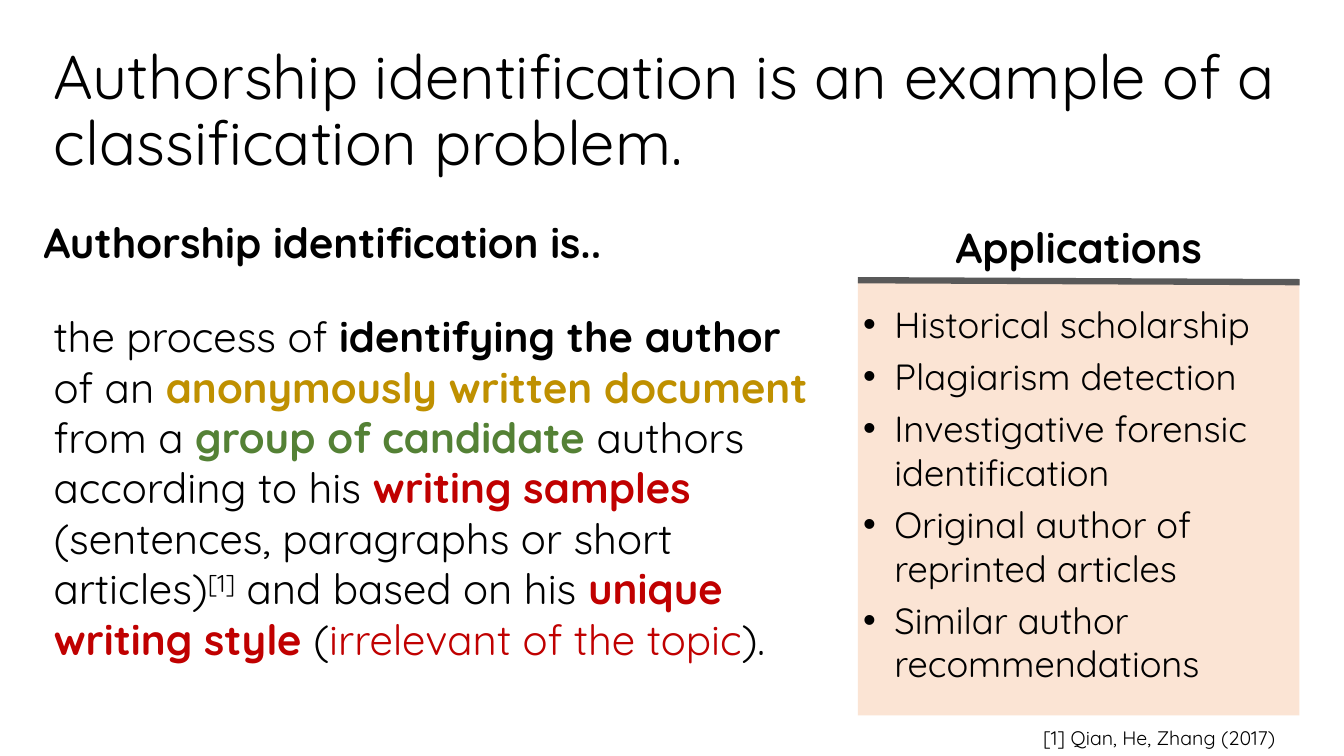
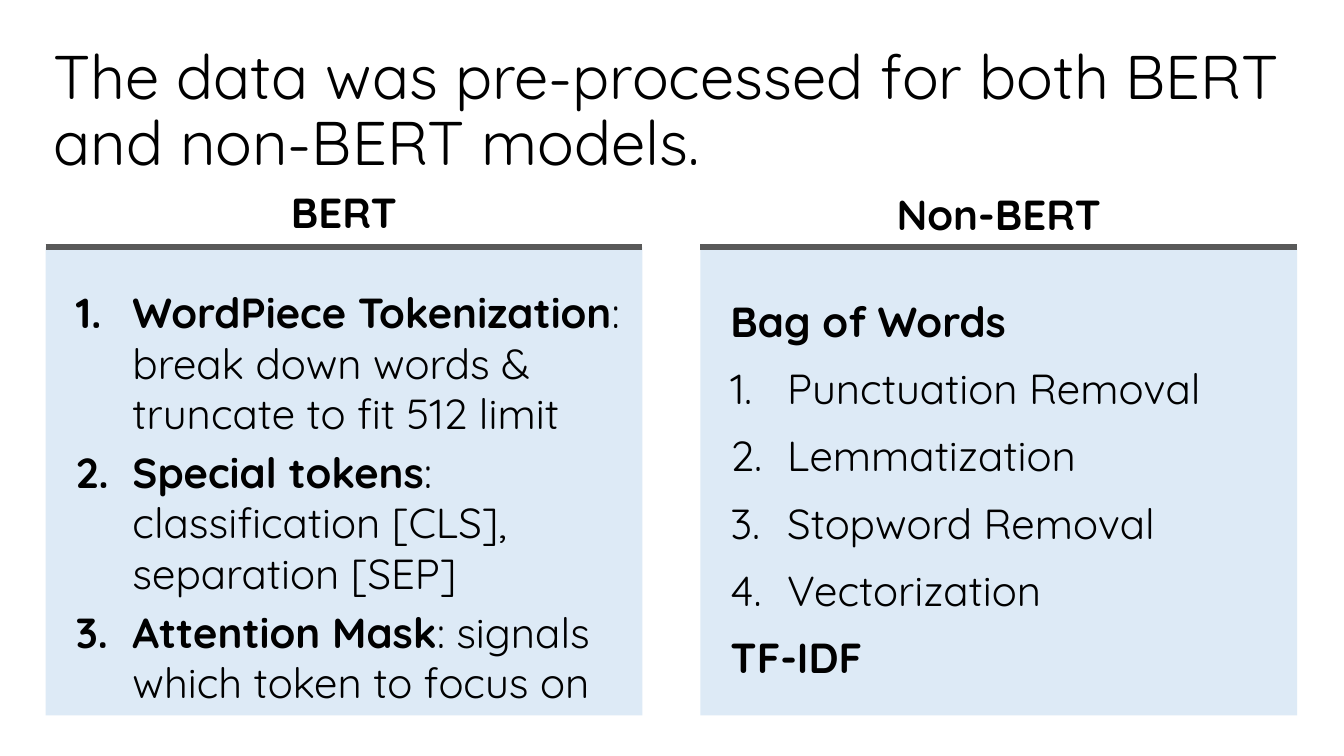
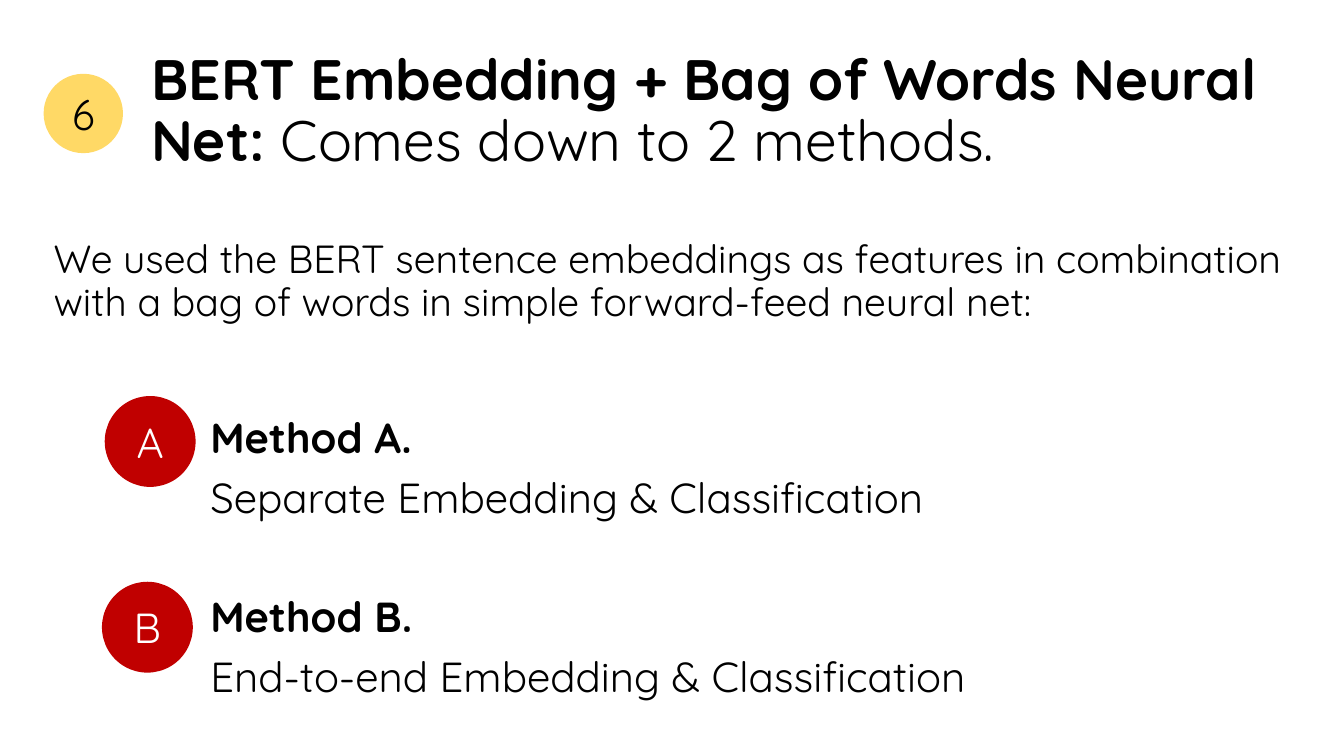
from lxml import etree
from pptx import Presentation
from pptx.dml.color import RGBColor
from pptx.enum import shapes, text
from pptx.oxml.ns import qn
from pptx.util import Cm, Pt

FONT = "Quicksand"
COLOURS = {
    "black": "000000", "white": "FFFFFF", "rule": "595959",
    "peach": "FBE4D4", "blue": "DDEAF6", "yellow": "FFD966",
    "gold": "BF9000", "green": "548135", "red": "C00000",
}
PADDING = (0.25, 0.13, 0.25, 0.13)  # left, top, right, bottom
NO_PADDING = (0, 0, 0, 0)
LEFT, FULL_WIDTH = 1.1, 31.67
TITLE_TOP, TITLE_HEIGHT = 1, 3.68

# A paragraph is a list of spans: plain text, or (text, style).
STYLES = {
    "bold": {"bold": True},
    "gold": {"bold": True, "colour": "gold"},
    "green": {"bold": True, "colour": "green"},
    "red": {"bold": True, "colour": "red"},
    "light red": {"colour": "red"},
    "superscript": {"raised": True},
}

IDENTIFICATION_TITLE = [["Authorship identification is an example of a classification problem."]]
DEFINITION_HEADING = [[("Authorship identification is..", "bold")]]
DEFINITION = [
    ["the process of ", ("identifying the author", "bold")],
    ["of an ", ("anonymously written document ", "gold"), "from a ",
     ("group of candidate ", "green"), "authors"],
    ["according to his ", ("writing samples ", "red"),
     "(sentences, paragraphs or short articles)", ("[1]", "superscript"),
     " and based on his ", ("unique writing style ", "red"),
     "(", ("irrelevant of the topic", "light red"), ")."],
]
CITATION = [["[1] Qian, He, Zhang (2017)"]]
APPLICATIONS = [
    ["Historical scholarship"],
    ["Plagiarism detection"],
    ["Investigative forensic identification"],
    ["Original author of reprinted articles"],
    ["Similar author recommendations"],
]

PREPROCESSING_TITLE = [["The data was pre-processed for both BERT and non-BERT models."]]
BERT_STEPS = [
    [("WordPiece Tokenization", "bold"), ": break down words & truncate to fit 512 limit"],
    [("Special tokens", "bold"), ": classification [CLS], separation [SEP]"],
    [("Attention Mask", "bold"), ": signals which token to focus on"],
]
NON_BERT_STEPS = [
    [("Bag of Words", "bold")],
    ["Punctuation Removal"],
    ["Lemmatization"],
    ["Stopword Removal"],
    ["Vectorization"],
    [("TF-IDF", "bold")],
]

METHODS_TITLE = [[("BERT Embedding + Bag of Words Neural Net: ", "bold"),
                  "Comes down to 2 methods."]]
METHODS_INTRO = [["We used the BERT sentence embeddings as features in combination "
                  "with a bag of words in simple forward-feed neural net:"]]
# letter, circle left, circle top, text top, description
METHODS = [
    ("A", 2.64, 9.98, 10.39, "Separate Embedding & Classification"),
    ("B", 2.57, 14.66, 14.9, "End-to-end Embedding & Classification"),
]


def colour(name):
    return RGBColor.from_string(COLOURS[name])


def write(shape, paragraphs, size, ink="black", padding=PADDING, anchor="TOP",
          align="LEFT", line=1.0, gap=0):
    frame = shape.text_frame
    frame.word_wrap = True
    frame.vertical_anchor = getattr(text.MSO_ANCHOR, anchor)
    (frame.margin_left, frame.margin_top,
     frame.margin_right, frame.margin_bottom) = [Cm(side) for side in padding]
    for index, spans in enumerate(paragraphs):
        para = frame.add_paragraph() if index else frame.paragraphs[0]
        para.alignment = getattr(text.PP_ALIGN, align)
        para.line_spacing = line
        para.space_before = Pt(gap if index else 0)
        for span in spans:
            words, style = (span, None) if isinstance(span, str) else span
            look = STYLES.get(style, {})
            run = para.add_run()
            run.text = words
            run.font.name = FONT
            run.font.size = Pt(size)
            run.font.bold = look.get("bold", False)
            run.font.color.rgb = colour(look.get("colour", ink))
            if look.get("raised"):
                run._r.get_or_add_rPr().set("baseline", "30000")


def add_text(slide, place, paragraphs, size, **layout):
    box = slide.shapes.add_textbox(*[Cm(length) for length in place])
    write(box, paragraphs, size, **layout)


def add_filled(slide, kind, place, fill):
    shape = slide.shapes.add_shape(kind, *[Cm(length) for length in place])
    shape.shadow.inherit = False
    shape.fill.solid()
    shape.fill.fore_color.rgb = colour(fill)
    shape.line.fill.background()
    return shape


def add_circle(slide, left, top, size, fill, label, ink):
    circle = add_filled(slide, shapes.MSO_SHAPE.OVAL, (left, top, size, size), fill)
    write(circle, [[label]], 30, ink=ink, anchor="MIDDLE", align="CENTER")


def add_title(slide, paragraphs, left=LEFT, size=44):
    place = (left, TITLE_TOP, LEFT + FULL_WIDTH - left, TITLE_HEIGHT)
    add_text(slide, place, paragraphs, size, anchor="MIDDLE", line=0.9)


def set_bullets(paragraphs, indent, numbered):
    for para in paragraphs:
        properties = para._p.get_or_add_pPr()
        properties.set("marL", str(Cm(indent)))
        properties.set("indent", str(-Cm(indent)))
        if numbered:
            etree.SubElement(properties, qn("a:buAutoNum"), type="arabicPeriod")
        else:
            etree.SubElement(properties, qn("a:buFont"), typeface="Arial")
            etree.SubElement(properties, qn("a:buChar"), char="•")


def add_panel(slide, place, fill, heading, heading_top, paragraphs, size, padding,
              gap, indent, numbered=True, listed=slice(None), slope=0):
    """Heading over a ruled, filled box; listed selects the paragraphs with bullets."""
    left, top, width, _ = place
    panel = add_filled(slide, shapes.MSO_SHAPE.RECTANGLE, place, fill)
    write(panel, paragraphs, size, padding=padding, gap=gap)
    set_bullets(panel.text_frame.paragraphs[listed], indent, numbered)
    add_text(slide, (left, heading_top, width, 1.4), [[(heading, "bold")]], 30,
             padding=NO_PADDING, align="CENTER")
    rule = slide.shapes.add_connector(shapes.MSO_CONNECTOR.STRAIGHT, Cm(left), Cm(top),
                                      Cm(left + width), Cm(top + slope))
    rule.line.color.rgb = colour("rule")
    rule.line.width = Pt(4.5)
    etree.SubElement(rule._element.spPr, qn("a:effectLst"))


def build_identification(slide):
    add_title(slide, IDENTIFICATION_TITLE)
    add_panel(slide, (21.62, 7.06, 11.13, 10.97), "peach", "Applications", 5.59,
              APPLICATIONS, 26, (0.13, 0.56, 0.13, 0.13), gap=6, indent=0.79,
              numbered=False, slope=0.05)
    add_text(slide, (LEFT, 7.7, 19.58, 10.52), DEFINITION, 30)
    add_text(slide, (LEFT, 5.46, 18.64, 1.5), DEFINITION_HEADING, 30, padding=NO_PADDING)
    add_text(slide, (26.04, 18.08, 7.8, 1), CITATION, 14, anchor="MIDDLE")


def build_preprocessing(slide):
    add_title(slide, PREPROCESSING_TITLE)
    top, width, height = 6.23, 15.04, 11.8
    add_panel(slide, (1.15, top, width, height), "blue", "BERT", 4.7,
              BERT_STEPS, 30, (0.76, 1, 0.13, 0.13), gap=6, indent=1.43)
    add_panel(slide, (17.65, top, width, height), "blue", "Non-BERT", 4.75,
              NON_BERT_STEPS, 30, (0.76, 1.22, 0.13, 0.13), gap=12, indent=1.43,
              listed=slice(1, -1))


def build_methods(slide):
    add_title(slide, METHODS_TITLE, left=3.56, size=40.7)
    add_circle(slide, 1.1, 1.86, 2, "yellow", "6", "black")
    add_text(slide, (LEFT, 5.92, FULL_WIDTH, 2.6), METHODS_INTRO, 28, line=0.9)
    for letter, left, top, text_top, description in METHODS:
        add_circle(slide, left, top, 2.29, "red", letter, "white")
        add_text(slide, (5.05, text_top, 27.71, 3.4),
                 [[(f"Method {letter}.", "bold")], [description]], 30, line=0.9, gap=10)


def main():
    deck = Presentation()
    deck.slide_width, deck.slide_height = Cm(33.87), Cm(19.05)
    for build in (build_identification, build_preprocessing, build_methods):
        build(deck.slides.add_slide(deck.slide_layouts[6]))
    deck.save("out.pptx")


if __name__ == "__main__":
    main()
